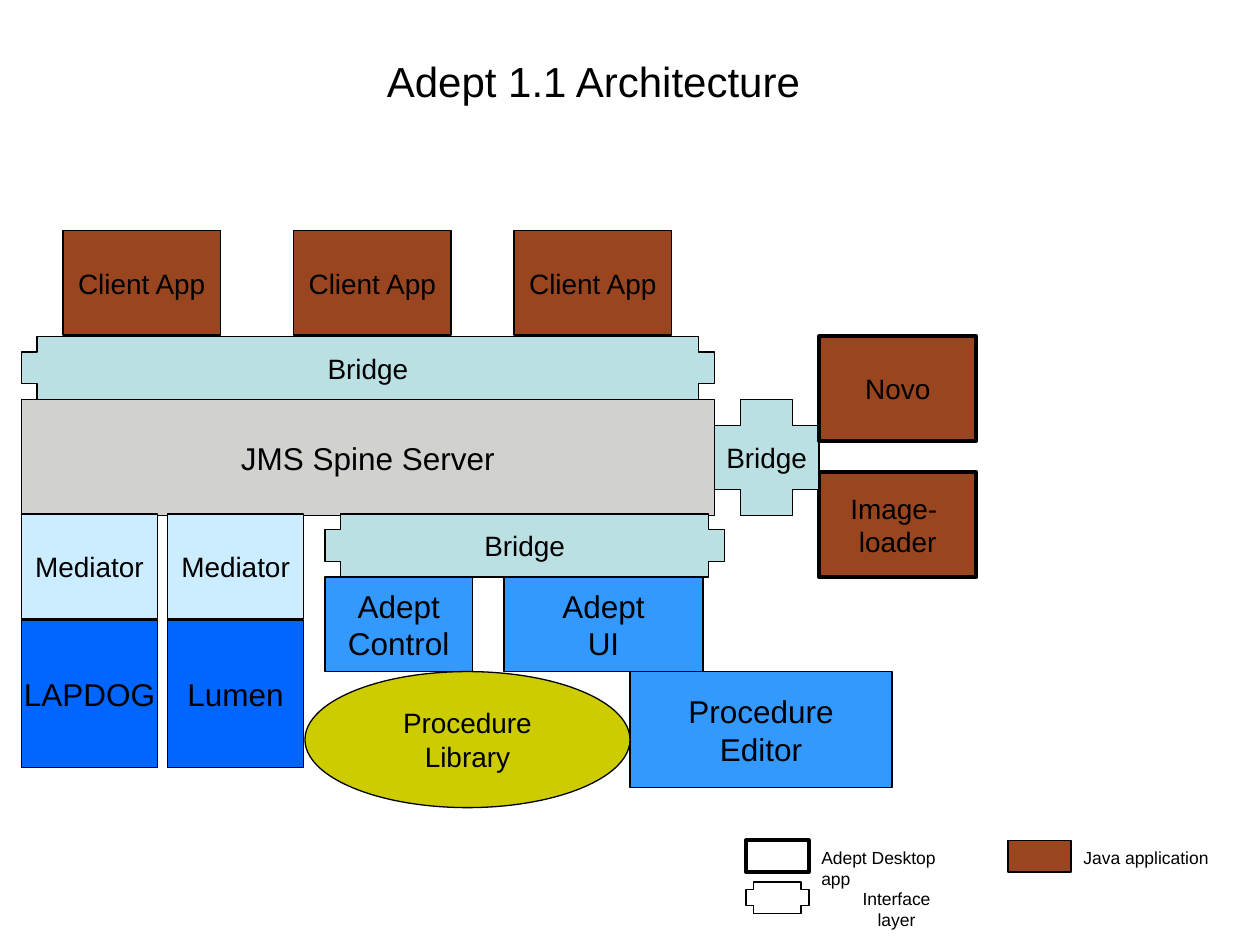
from pptx import Presentation
from pptx.dml.color import RGBColor
from pptx.enum.shapes import MSO_SHAPE as Shape
from pptx.enum.text import MSO_ANCHOR as Anchor, PP_ALIGN as Align
from pptx.util import Inches, Pt


def color(hex_value):
    return RGBColor.from_string(hex_value)


def write(shape, text, size, align, anchor):
    frame = shape.text_frame
    frame.text = text
    frame_format = {
        "word_wrap": False,
        "vertical_anchor": anchor,
        "margin_left": Inches(0.1),
        "margin_right": Inches(0.1),
        "margin_top": Inches(0.05),
        "margin_bottom": Inches(0.05),
    }
    for name, value in frame_format.items():
        setattr(frame, name, value)
    for paragraph in frame.paragraphs:
        paragraph.alignment = align
        for name, value in {"name": "Arial", "size": Pt(size), "bold": False}.items():
            setattr(paragraph.font, name, value)
        paragraph.font.color.rgb = color("000000")


BLACK, WHITE = "000000", "FFFFFF"
BROWN, TEAL, GRAY = "99451F", "BBE0E3", "D1D2D0"
PALE, BLUE, SKY, OLIVE = "CCECFF", "0066FF", "3399FF", "CCCC00"
THIN, THICK = 0.75, 2.25

presentation = Presentation()
presentation.slide_width = Inches(10)
presentation.slide_height = Inches(7.5)
slide = presentation.slides.add_slide(presentation.slide_layouts[5])

title = slide.shapes.title
title_position = {"left": 2.25, "top": 0.33, "width": 4.92, "height": 0.62}
for name, value in title_position.items():
    setattr(title, name, Inches(value))
write(title, "Adept 1.1 Architecture", 24, Align.CENTER, Anchor.MIDDLE)

client_apps = [
    ("Client App", Shape.RECTANGLE, (left, 1.83, 1.25, 0.83), BROWN, THIN, 16)
    for left in (0.5, 2.33, 4.08)
]
mediator_stacks = []
for left, name in ((0.17, "LAPDOG"), (1.33, "Lumen")):
    mediator_stacks += [
        (name, Shape.RECTANGLE, (left, 4.92, 1.08, 1.17), BLUE, THIN, 18),
        ("Mediator", Shape.RECTANGLE, (left, 4.08, 1.08, 0.83), PALE, THIN, 16),
    ]
components = [
    ("JMS Spine Server", Shape.RECTANGLE, (0.17, 3.17, 5.5, 0.92), GRAY, THIN, 18),
    ("Bridge", Shape.CROSS, (0.17, 2.67, 5.5, 0.5), TEAL, THIN, 16),
    *client_apps,
    ("Adept\nControl", Shape.RECTANGLE, (2.58, 4.58, 1.17, 0.75), SKY, THIN, 18),
    ("Image- \nloader", Shape.RECTANGLE, (6.5, 3.75, 1.25, 0.83), BROWN, THICK, 16),
    ("Bridge", Shape.CROSS, (5.67, 3.17, 0.83, 0.92), TEAL, THIN, 16),
    ("Bridge", Shape.CROSS, (2.58, 4.08, 3.17, 0.5), TEAL, THIN, 16),
    *mediator_stacks,
    ("Adept\nUI", Shape.RECTANGLE, (4, 4.58, 1.58, 0.75), SKY, THIN, 18),
    ("Novo", Shape.RECTANGLE, (6.5, 2.67, 1.25, 0.83), BROWN, THICK, 16),
    ("Procedure\nEditor", Shape.RECTANGLE, (5, 5.33, 2.08, 0.92), SKY, THIN, 18),
    ("Procedure\nLibrary", Shape.OVAL, (2.42, 5.33, 2.58, 1.08), OLIVE, THIN, 16),
]

legend = [
    ("Java application", Shape.RECTANGLE, (8, 6.67), BROWN, THIN, (8.5, 1.19), Align.LEFT),
    ("Adept Desktop app", Shape.RECTANGLE, (5.92, 6.67), None, THICK, (6.42, 1.37), Align.LEFT),
    ("Interface layer", Shape.CROSS, (5.92, 7), WHITE, THIN, (6.58, 1.07), Align.CENTER),
]
drawn = [(slide.shapes, *component) for component in components]
for text, kind, (left, top), fill, width, (text_left, text_width), align in legend:
    group = slide.shapes.add_group_shape()
    drawn.append((group.shapes, "", kind, (left, top, 0.5, 0.25), fill, width, 10))

for shapes, text, kind, box, fill, width, size in drawn:
    shape = shapes.add_shape(kind, *map(Inches, box))
    shape.shadow.inherit = False
    if fill:
        shape.fill.solid()
        shape.fill.fore_color.rgb = color(fill)
    else:
        shape.fill.background()
    shape.line.color.rgb = color(BLACK)
    shape.line.width = Pt(width)
    if kind == Shape.CROSS:
        shape.adjustments[0] = 0.25
    if text:
        write(shape, text, size, Align.CENTER, Anchor.MIDDLE)

for (shapes, *_), entry in zip(drawn[len(components):], legend):
    text, kind, (left, top), fill, width, (text_left, text_width), align = entry
    label = shapes.add_textbox(*map(Inches, (text_left, top, text_width, 0.27)))
    write(label, text, 10, align, Anchor.TOP)

presentation.save("out.pptx")
